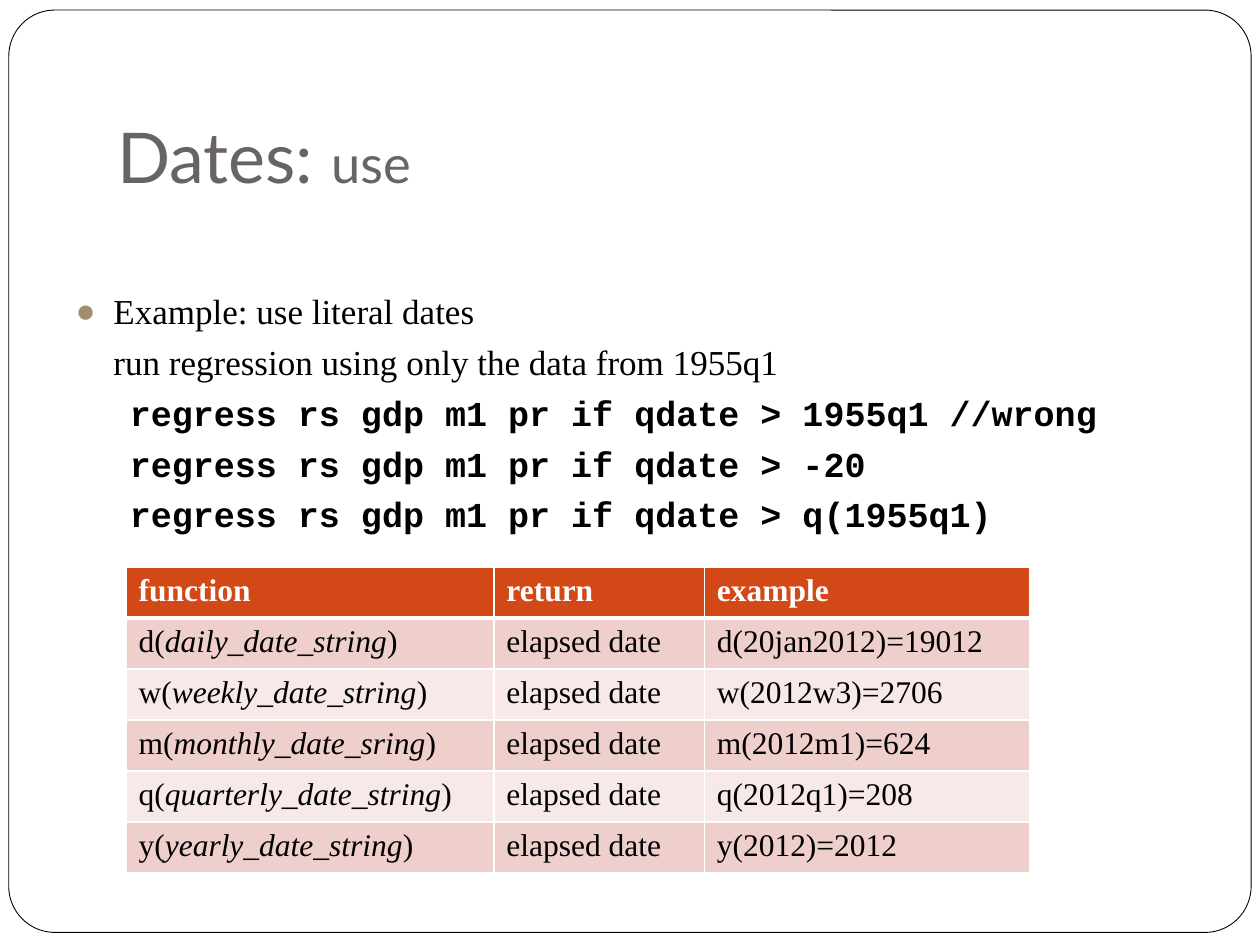
from lxml.etree import SubElement
from pptx import Presentation
from pptx.dml.color import RGBColor
from pptx.enum.shapes import MSO_SHAPE as Shape
from pptx.enum.text import MSO_ANCHOR as Anchor, MSO_AUTO_SIZE as AutoSize, PP_ALIGN as Align
from pptx.oxml.ns import qn
from pptx.util import Inches, Pt

WHITE = RGBColor(0xFF, 0xFF, 0xFF)
BLACK = RGBColor(0, 0, 0)
GREY = RGBColor(0x69, 0x64, 0x64)
ORANGE = RGBColor(0xD3, 0x48, 0x17)
TAN = RGBColor(0xA2, 0x8E, 0x6A)
BANDS = (RGBColor(0xEF, 0xCF, 0xCC), RGBColor(0xF7, 0xE9, 0xE8))

HEADING = dict(name="Lato", size=Pt(40), color=GREY)
SUBHEADING = dict(HEADING, size=Pt(30))
TEXT = dict(name="Times New Roman", size=Pt(20), bold=False, color=BLACK)
CODE = dict(TEXT, name="Courier New", bold=True)
CELL = dict(TEXT, size=Pt(18))
ARGUMENT = dict(CELL, italic=True)
HEADER = dict(CELL, bold=True, color=WHITE)


class Deck:
    def __init__(self):
        self.file = Presentation()
        self.file.slide_width, self.file.slide_height = Inches(10), Inches(7.5)
        self.slide = self.file.slides.add_slide(self.file.slide_layouts[1])
        self.shapes = self.slide.shapes

    def place(self, shape, left, top, width, height):
        shape.left, shape.top = Inches(left), Inches(top)
        shape.width, shape.height = Inches(width), Inches(height)

    def add_runs(self, paragraph, pieces):
        for words, style in pieces:
            run = paragraph.add_run()
            run.text = words
            for key, value in style.items():
                if key == "color":
                    run.font.color.rgb = value
                else:
                    setattr(run.font, key, value)

    def frame(self, *box):
        border = self.shapes.add_shape(Shape.ROUNDED_RECTANGLE, *map(Inches, box))
        border.adjustments[0] = 0.05
        border.shadow.inherit = False
        border.fill.solid()
        border.fill.fore_color.rgb = WHITE
        border.line.color.rgb = BLACK
        border.line.width = Pt(0.5)
        # Send behind the placeholders
        self.shapes.element.insert(2, border.element)

    def title(self, pieces, *box):
        heading = self.shapes.title
        self.place(heading, *box)
        layout = dict(vertical_anchor=Anchor.BOTTOM, margin_bottom=Inches(0.1),
                      auto_size=AutoSize.NONE, word_wrap=True)
        for key, value in layout.items():
            setattr(heading.text_frame, key, value)
        paragraph = heading.text_frame.paragraphs[0]
        paragraph.alignment = Align.LEFT
        self.add_runs(paragraph, pieces)

    def body(self, lines, *box):
        content = self.slide.placeholders[1]
        self.place(content, *box)
        frame = content.text_frame
        frame.auto_size, frame.word_wrap = AutoSize.NONE, True
        for number, (words, style, level, margin, indent, bullet) in enumerate(lines):
            paragraph = frame.add_paragraph() if number else frame.paragraphs[0]
            paragraph.level, paragraph.space_before = level, Pt(5)
            self.add_runs(paragraph, [(words, style)])
            props = paragraph._p.get_or_add_pPr()
            props.set("marL", str(Inches(margin)))
            props.set("indent", str(Inches(indent)))
            if bullet:
                tint = SubElement(props, qn("a:buClr"))
                SubElement(tint, qn("a:srgbClr"), val=str(TAN))
                SubElement(props, qn("a:buSzPct"), val="95000")
                SubElement(props, qn("a:buChar"), char=bullet)
            else:
                SubElement(props, qn("a:buNone"))

    def cell(self, cell, pieces, fill, bottom):
        props = cell._tc.get_or_add_tcPr()
        for side, points in zip("LRTB", (1, 1, 1, bottom)):
            edge = SubElement(props, qn(f"a:ln{side}"), w=str(Pt(points)))
            paint = SubElement(edge, qn("a:solidFill"))
            SubElement(paint, qn("a:srgbClr"), val=str(WHITE))
        cell.fill.solid()
        cell.fill.fore_color.rgb = fill
        self.add_runs(cell.text_frame.paragraphs[0], pieces)

    def table(self, rows, widths, *box):
        grid = self.shapes.add_table(len(rows), len(widths), *map(Inches, box)).table
        for column, width in zip(grid.columns, widths):
            column.width = Inches(width)
        for r, row in enumerate(rows):
            fill = BANDS[(r - 1) % 2] if r else ORANGE
            for c, pieces in enumerate(row):
                self.cell(grid.cell(r, c), pieces, fill, 1 if r else 3)


deck = Deck()
deck.frame(0.07, 0.08, 9.86, 7.32)
deck.title([("Dates: ", HEADING), ("use", SUBHEADING)], 0.83, 0.42, 9, 1.25)

# Example with literal dates
conditions = ("1955q1 //wrong", "-20", "q(1955q1)")
lines = [
    ("Example: use literal dates", TEXT, 0, 0.3, -0.3, "●"),
    ("run regression using only the data from 1955q1", TEXT, 0, 0.3, 0, None),
]
lines += [(f"regress rs gdp m1 pr if qdate > {condition}", CODE, 1, 0.7, -0.27, None)
          for condition in conditions]
deck.body(lines, 0.5, 2.25, 9, 5)

# Date functions
functions = [
    ("d", "daily_date_string", "d(20jan2012)=19012"),
    ("w", "weekly_date_string", "w(2012w3)=2706"),
    ("m", "monthly_date_sring", "m(2012m1)=624"),
    ("q", "quarterly_date_string", "q(2012q1)=208"),
    ("y", "yearly_date_string", "y(2012)=2012"),
]
rows = [[[(label, HEADER)] for label in ("function", "return", "example")]]
rows += [[[(f"{name}(", CELL), (argument, ARGUMENT), (")", CELL)],
          [("elapsed date", CELL)],
          [(example, CELL)]] for name, argument, example in functions]
deck.table(rows, (2.92, 1.67, 2.58), 1, 4.5, 7.17, 2.43)

deck.file.save("out.pptx")
